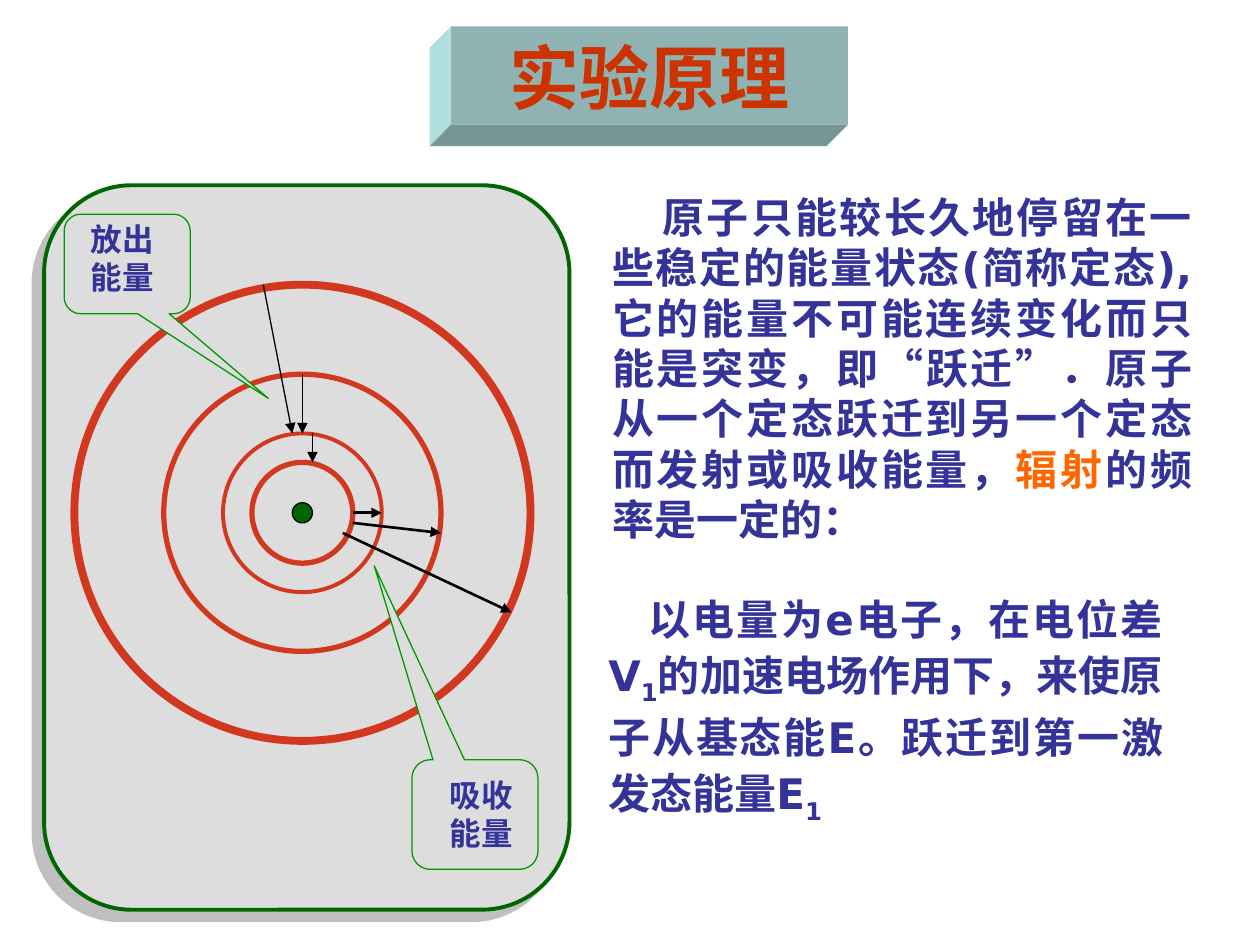
from lxml.etree import SubElement
from pptx import Presentation
from pptx.dml.color import RGBColor
from pptx.enum.shapes import MSO_CONNECTOR, MSO_SHAPE
from pptx.enum.text import MSO_ANCHOR, PP_ALIGN
from pptx.oxml.ns import qn
from pptx.util import Inches, Pt

COLORS = {
    "title": "CC3300", "front": "8FB2B2", "side": "B0DFDD", "base": "779594",
    "panel": "DDDDDD", "border": "006600", "orbit": "D1381F", "callout": "009900",
    "black": "000000", "text": "333399", "accent": "FF6600", "shadow": "808080",
}
FONT = "DejaVu Sans"


def rgb(name):
    return RGBColor.from_string(COLORS[name])


def style(sp, fill=None, line=None, width=0.75):
    sp.shadow.inherit = False
    if fill:
        sp.fill.solid()
        sp.fill.fore_color.rgb = rgb(fill)
    else:
        sp.fill.background()
    if line:
        sp.line.color.rgb = rgb(line)
        sp.line.width = Pt(width)
    else:
        sp.line.fill.background()


def add_shape(s, kind, x, y, w, h, **look):
    sp = s.shapes.add_shape(kind, Inches(x), Inches(y), Inches(w), Inches(h))
    style(sp, **look)
    return sp


def add_arrow(s, x1, y1, x2, y2, width):
    line = s.shapes.add_connector(
        MSO_CONNECTOR.STRAIGHT, Inches(x1), Inches(y1), Inches(x2), Inches(y2))
    line.line.color.rgb = rgb("black")
    line.line.width = Pt(width)
    SubElement(line.line._get_or_add_ln(), qn("a:tailEnd"), type="triangle")
    SubElement(line._element.spPr, qn("a:effectLst"))


def add_text(s, x, y, w, h, runs, size, align, indent=0, spacing=None):
    """Each run is (text, options); options are font, color and sub."""
    box = s.shapes.add_textbox(Inches(x), Inches(y), Inches(w), Inches(h))
    tf = box.text_frame
    tf.word_wrap = True
    p = tf.paragraphs[0]
    p.alignment = align
    if spacing:
        p.line_spacing = spacing
    if indent:
        p._p.get_or_add_pPr().set("indent", str(Inches(indent)))
    for text, options in runs:
        r = p.add_run()
        r.text = text
        r.font.name = options.get("font", FONT)
        r.font.size = Pt(size)
        r.font.bold = True
        r.font.color.rgb = rgb(options.get("color", "text"))
        if options.get("sub"):
            r._r.get_or_add_rPr().set("baseline", "-25000")


def add_title(s, x, y, w, h, depth=0.17):
    # Left and bottom faces of the block
    faces = {
        "side": [(x, y), (x - depth, y + depth), (x - depth, y + h + depth), (x, y + h)],
        "base": [(x, y + h), (x - depth, y + h + depth),
                 (x + w - depth, y + h + depth), (x + w, y + h)],
    }
    for color, points in faces.items():
        outline = [(Inches(px), Inches(py)) for px, py in points]
        builder = s.shapes.build_freeform(*outline[0])
        builder.add_line_segments(outline[1:], close=True)
        style(builder.convert_to_shape(), fill=color)

    # Front face
    title = s.shapes.title
    title.left, title.top, title.width, title.height = map(Inches, (x, y, w, h))
    title.fill.solid()
    title.fill.fore_color.rgb = rgb("front")
    tf = title.text_frame
    tf.text = "实验原理"
    tf.vertical_anchor = MSO_ANCHOR.BOTTOM
    p = tf.paragraphs[0]
    p.alignment = PP_ALIGN.CENTER
    p.font.name = "Arial"
    p.font.size = Pt(40)
    p.font.bold = True
    p.font.color.rgb = rgb("title")


def add_callout(s, x, y, w, h, tip, label, label_box):
    sp = add_shape(s, MSO_SHAPE.ROUNDED_RECTANGULAR_CALLOUT, x, y, w, h,
                   fill="panel", line="callout")
    sp.adjustments[0], sp.adjustments[1] = tip
    dx, dy, label_w, label_h = label_box
    add_text(s, x + dx, y + dy, label_w, label_h, [(label, {})], 18, PP_ALIGN.CENTER)


def add_atom(s, x, y, w, h):
    # Panel with its shadow
    panel = add_shape(s, MSO_SHAPE.ROUNDED_RECTANGLE, x, y, w, h,
                      fill="panel", line="border", width=2.25)
    effects = panel._element.spPr.find(qn("a:effectLst"))
    shadow = SubElement(effects, qn("a:outerShdw"), dist=str(Pt(8.5)),
                        dir="8100000", algn="ctr", rotWithShape="0")
    color = SubElement(shadow, qn("a:srgbClr"), val=COLORS["shadow"])
    SubElement(color, qn("a:alpha"), val="50000")

    # Nucleus and orbits
    cx, cy = x + 2.05, y + 2.6
    rings = [(0.08, "border", "black", 0.75), (0.4, None, "orbit", 3),
             (0.63, None, "orbit", 2.25), (1.1, None, "orbit", 3),
             (1.81, None, "orbit", 4.5)]
    for radius, fill, line, width in rings:
        add_shape(s, MSO_SHAPE.OVAL, cx - radius, cy - radius, 2 * radius, 2 * radius,
                  fill=fill, line=line, width=width)

    # Transitions inwards, then outwards, measured from the nucleus
    jumps = [(0, -1.1, 0, -0.63, 0.75), (-0.31, -1.81, -0.08, -0.63, 0.75),
             (0.08, -0.63, 0.08, -0.4, 0.75), (0.4, 0, 0.63, 0, 1.5),
             (0.4, 0.08, 1.1, 0.16, 1.5), (0.32, 0.16, 1.66, 0.79, 1.5)]
    for x1, y1, x2, y2, width in jumps:
        add_arrow(s, cx + x1, cy + y1, cx + x2, cy + y2, width)

    add_callout(s, x + 0.16, y + 0.23, 1, 0.79, (1.12, 1.35),
                "放出能量", (0.08, 0, 0.76, 0.7))
    add_callout(s, x + 2.92, y + 4.56, 1, 0.87, (-0.8, -2.27),
                "吸收能量", (0.08, 0.08, 0.94, 0.7))


def add_explanation(s, x, y, w):
    quote = {"font": "Arial"}
    sub = {"sub": True}
    add_text(s, x, y, w, 2.9, [
        ("原子只能较长久地停留在一些稳定的能量状态(简称定态),"
         "它的能量不可能连续变化而只能是突变，即", {}),
        ("“", quote), ("跃迁", {}), ("”", quote),
        ("．原子从一个定态跃迁到另一个定态而发射或吸收能量，", {}),
        ("辐射", {"color": "accent"}), ("的频率是一定的：", {}),
    ], 24, PP_ALIGN.JUSTIFY, indent=0.4)
    add_text(s, x - 0.03, y + 3.15, w - 0.2, 1.86, [
        ("以电量为e电子，在电位差V", {}), ("1", sub),
        ("的加速电场作用下，来使原子从基态能E。跃迁到第一激发态能量E", {}), ("1", sub),
    ], 24, PP_ALIGN.JUSTIFY, indent=0.32, spacing=1.1)


def main():
    prs = Presentation()
    prs.slide_width, prs.slide_height = Inches(10), Inches(7.5)
    s = prs.slides.add_slide(prs.slide_layouts[5])
    add_title(s, 3.58, 0.21, 3.15, 0.78)
    add_atom(s, 0.35, 1.47, 4.17, 5.75)
    add_explanation(s, 4.76, 1.47, 4.8)
    prs.save("out.pptx")


if __name__ == "__main__":
    main()
